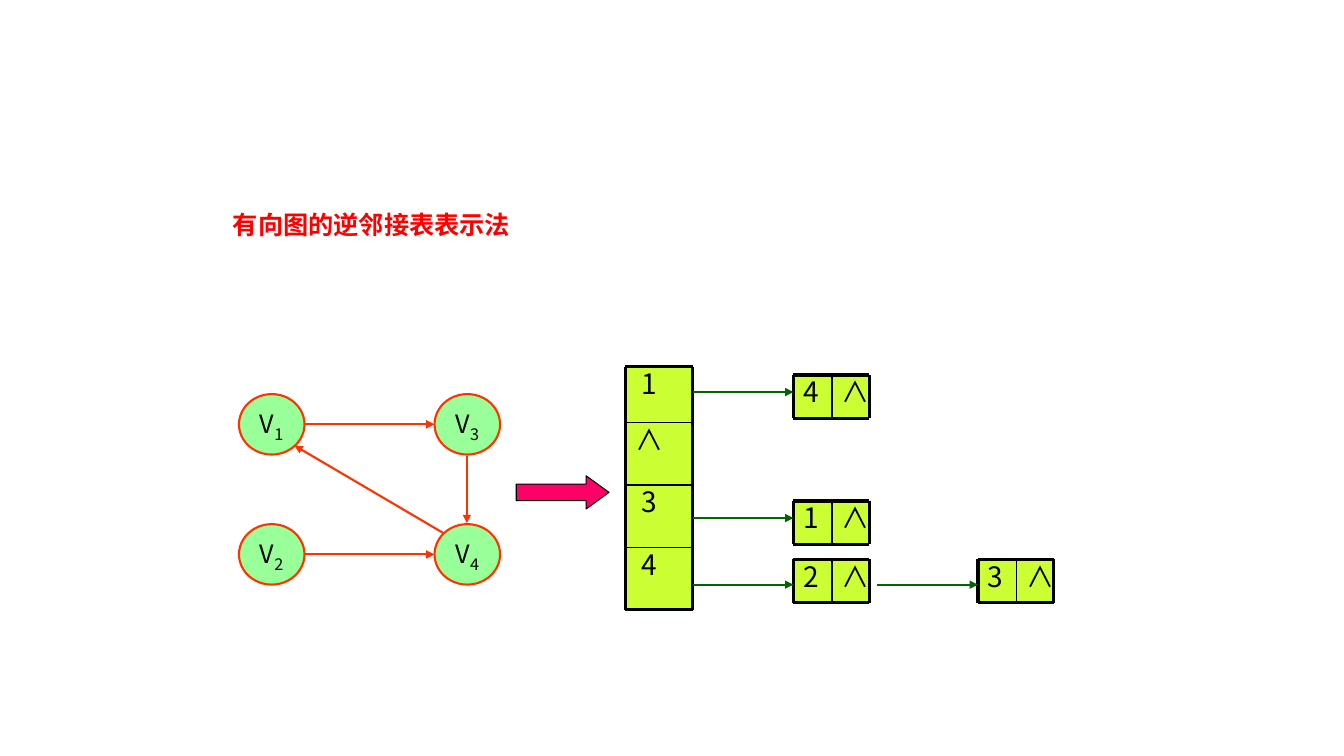
"""Build a slide showing a directed graph and its inverse adjacency list."""
import pptx
import pptx.dml.color
import pptx.enum.shapes
import pptx.enum.text
import pptx.oxml.ns
import pptx.util
from lxml import etree

Inches = pptx.util.Inches
Pt = pptx.util.Pt
RGBColor = pptx.dml.color.RGBColor
MSO_SHAPE = pptx.enum.shapes.MSO_SHAPE
PP_ALIGN = pptx.enum.text.PP_ALIGN
MSO_ANCHOR = pptx.enum.text.MSO_ANCHOR
qn = pptx.oxml.ns.qn

BLACK = RGBColor(0x00, 0x00, 0x00)
RED = RGBColor(0xFF, 0x00, 0x00)
VERTEX_GREEN = RGBColor(0x99, 0xFF, 0x99)
EDGE_ORANGE = RGBColor(0xFF, 0x33, 0x00)
CELL_LIME = RGBColor(0xCC, 0xFF, 0x33)
LINK_GREEN = RGBColor(0x00, 0x66, 0x00)
ARROW_PINK = RGBColor(0xFF, 0x00, 0x66)


class GraphSlide:
    """Hold the slide and its style, and draw each kind of element."""

    font_name = "Noto Sans CJK SC"
    frame_width = 2.25
    divider_width = 1
    edge_width = 1.5

    def __init__(self, presentation):
        self.slide = presentation.slides.add_slide(presentation.slide_layouts[5])
        self.shapes = self.slide.shapes

    def style(self, paragraph, size, color=BLACK, bold=False, align=PP_ALIGN.LEFT):
        paragraph.alignment = align
        font = paragraph.font
        font.size = Pt(size)
        font.bold = bold
        font.color.rgb = color
        font.name = self.font_name
        defaults = paragraph._p.pPr.find(qn("a:defRPr"))
        etree.SubElement(defaults, qn("a:ea"), typeface=self.font_name)

    def title(self, text, left, top, width, height):
        title = self.shapes.title
        title.left, title.top = Inches(left), Inches(top)
        title.width, title.height = Inches(width), Inches(height)
        frame = title.text_frame
        frame.text = text
        frame.word_wrap = False
        frame.auto_size = pptx.enum.text.MSO_AUTO_SIZE.NONE
        frame.vertical_anchor = MSO_ANCHOR.MIDDLE
        self.style(frame.paragraphs[0], 18, RED, bold=True)

    def shape(self, kind, left, top, width, height, fill, line=None, line_width=1.0):
        shape = self.shapes.add_shape(
            kind, Inches(left), Inches(top), Inches(width), Inches(height))
        shape.shadow.inherit = False
        shape.fill.solid()
        shape.fill.fore_color.rgb = fill
        if line is None:
            shape.line.fill.background()
        else:
            shape.line.color.rgb = line
            shape.line.width = Pt(line_width)
        return shape

    def line(self, start, end, color, width, arrow=False):
        connector = self.shapes.add_connector(
            pptx.enum.shapes.MSO_CONNECTOR.STRAIGHT,
            *(Inches(value) for value in (*start, *end)))
        connector.line.color.rgb = color
        connector.line.width = Pt(width)
        properties = connector._element.spPr
        if arrow:
            etree.SubElement(properties.find(qn("a:ln")), qn("a:tailEnd"), type="triangle")
        etree.SubElement(properties, qn("a:effectLst"))

    def vertex(self, number, left, top):
        vertex = self.shape(MSO_SHAPE.OVAL, left, top, 0.65, 0.6,
                            VERTEX_GREEN, EDGE_ORANGE, self.edge_width)
        frame = vertex.text_frame
        frame.word_wrap = False
        frame.vertical_anchor = MSO_ANCHOR.MIDDLE
        label = frame.paragraphs[0]
        self.style(label, 18, align=PP_ALIGN.CENTER)
        label.add_run().text = "V"
        subscript = label.add_run()
        subscript.text = number
        subscript.font.size = Pt(20)
        subscript._r.get_or_add_rPr().set("baseline", "-25000")

    def cell(self, text, left, top, width, height, inset):
        cell = self.shape(MSO_SHAPE.RECTANGLE, left, top, width, height, CELL_LIME)
        frame = cell.text_frame
        frame.text = text
        frame.word_wrap = True
        frame.vertical_anchor = MSO_ANCHOR.TOP
        frame.margin_left = Inches(inset)
        frame.margin_top = 0
        self.style(frame.paragraphs[0], 20)

    def grid(self, texts, columns, rows, digit_inset=0.1):
        """Draw framed cells between the given column and row edges."""
        spots = [(x, y) for y in range(len(rows) - 1) for x in range(len(columns) - 1)]
        for text, (x, y) in zip(texts, spots):
            self.cell(text, columns[x], rows[y], columns[x + 1] - columns[x],
                      rows[y + 1] - rows[y], digit_inset if text.isdigit() else 0.1)
        for y in rows:
            self.line((columns[0], y), (columns[-1], y), BLACK, self.rule(y, rows))
        for x in columns:
            self.line((x, rows[0]), (x, rows[-1]), BLACK, self.rule(x, columns))

    def rule(self, edge, edges):
        return self.frame_width if edge in (edges[0], edges[-1]) else self.divider_width

    def list_node(self, number, left, top):
        self.grid([number, "∧"], [left, left + 0.38, left + 0.75], [top, top + 0.43])


def main():
    presentation = pptx.Presentation()
    presentation.slide_width = Inches(13.33)
    presentation.slide_height = Inches(7.5)
    slide = GraphSlide(presentation)
    slide.title("有向图的逆邻接表表示法", 2.21, 2.03, 2.98, 0.4)

    for number, left, top in (("1", 2.37, 3.91), ("3", 4.31, 3.91),
                              ("2", 2.37, 5.2), ("4", 4.31, 5.2)):
        slide.vertex(number, left, top)
    for start, end in (((3.02, 4.21), (4.31, 4.21)), ((4.4, 5.29), (2.92, 4.42)),
                       ((3.02, 5.5), (4.31, 5.5)), ((4.63, 4.52), (4.63, 5.19))):
        slide.line(start, end, EDGE_ORANGE, slide.edge_width, arrow=True)

    conversion = slide.shape(MSO_SHAPE.RIGHT_ARROW, 5.12, 4.72, 0.92, 0.33,
                             ARROW_PINK, BLACK, 0.75)
    conversion.adjustments[1] = 0.688

    slide.grid(["1", "∧", "3", "4"], [6.2, 6.87], [3.64, 4.19, 4.81, 5.43, 6.05],
               digit_inset=0.16)
    for number, left, top in (("4", 7.87, 3.72), ("1", 7.87, 4.97),
                              ("2", 7.87, 5.55), ("3", 9.7, 5.55)):
        slide.list_node(number, left, top)
    for left, height in ((6.87, 3.89), (6.87, 5.14), (6.87, 5.8), (8.7, 5.8)):
        slide.line((left, height), (left + 1, height), LINK_GREEN,
                   slide.edge_width, arrow=True)

    presentation.save("out.pptx")


if __name__ == "__main__":
    main()
